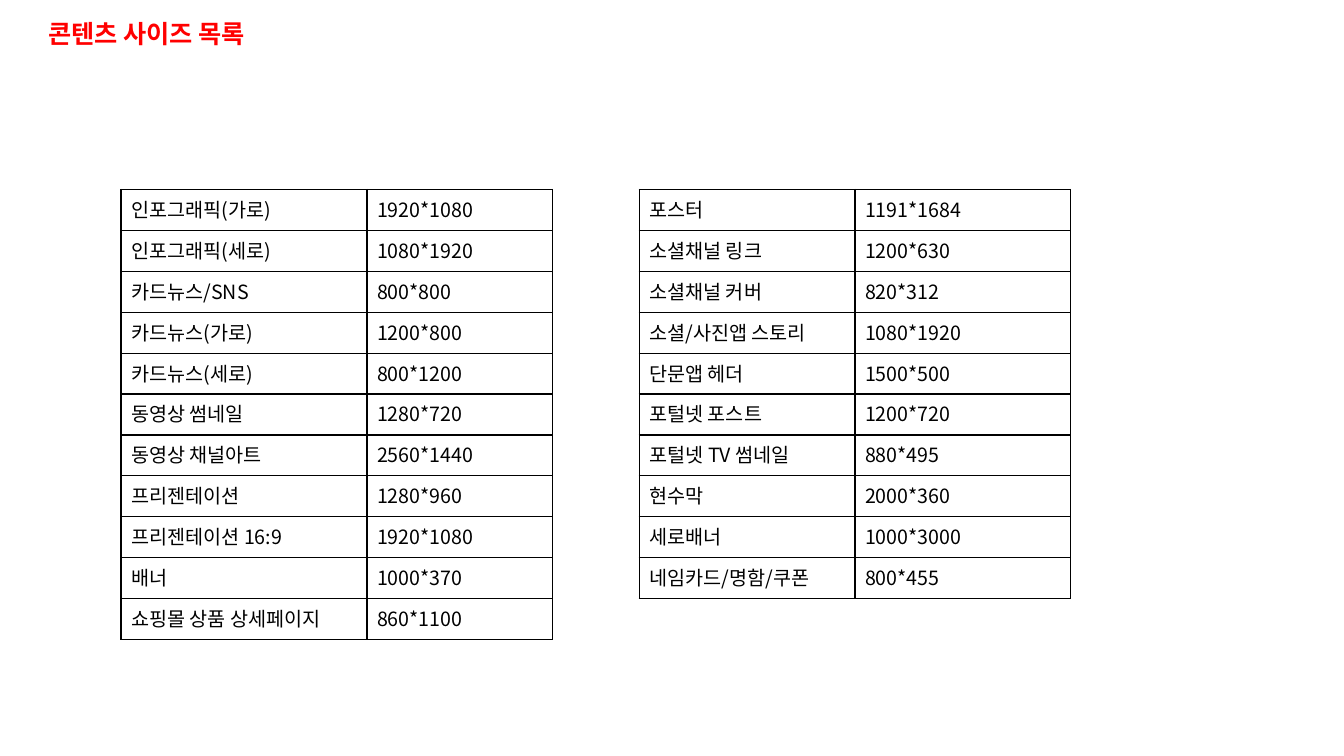
from dataclasses import dataclass

from lxml.etree import SubElement
from pptx import Presentation
from pptx.dml.color import RGBColor
from pptx.enum.text import MSO_ANCHOR
from pptx.oxml.ns import qn
from pptx.util import Inches, Pt

TITLE = "콘텐츠 사이즈 목록"
GENERAL_SIZES = [
    ("인포그래픽(가로)", "1920*1080"),
    ("인포그래픽(세로)", "1080*1920"),
    ("카드뉴스/SNS", "800*800"),
    ("카드뉴스(가로)", "1200*800"),
    ("카드뉴스(세로)", "800*1200"),
    ("동영상 썸네일", "1280*720"),
    ("동영상 채널아트", "2560*1440"),
    ("프리젠테이션", "1280*960"),
    ("프리젠테이션 16:9", "1920*1080"),
    ("배너", "1000*370"),
    ("쇼핑몰 상품 상세페이지", "860*1100"),
]
CHANNEL_SIZES = [
    ("포스터", "1191*1684"),
    ("소셜채널 링크", "1200*630"),
    ("소셜채널 커버", "820*312"),
    ("소셜/사진앱 스토리", "1080*1920"),
    ("단문앱 헤더", "1500*500"),
    ("포털넷 포스트", "1200*720"),
    ("포털넷 TV 썸네일", "880*495"),
    ("현수막", "2000*360"),
    ("세로배너", "1000*3000"),
    ("네임카드/명함/쿠폰", "800*455"),
]
# Rows, left edge and column widths in inches
TABLES = [
    (GENERAL_SIZES, 1.2, (2.44, 1.84)),
    (CHANNEL_SIZES, 6.34, (2.14, 2.14)),
]
TABLE_TOP = Inches(1.88)
ROW_HEIGHT = Inches(4.06) // 10


@dataclass(frozen=True)
class Theme:
    """Colours, font and type sizes of the slide."""
    font: str = "Noto Sans CJK KR"
    title_color: str = "FF0000"
    text_color: str = "000000"
    border_color: str = "000000"
    title_size: int = 18
    cell_size: int = 14
    border_width: int = 1


THEME = Theme()


def add_run(paragraph, text, size, color, bold=False):
    """Add one run with the theme font for Latin and Korean text."""
    run = paragraph.add_run()
    run.text = text
    run.font.size = Pt(size)
    run.font.bold = bold
    run.font.name = THEME.font
    run.font.color.rgb = RGBColor.from_string(color)
    SubElement(run.font._element, qn("a:ea"), typeface=THEME.font)


def add_borders(cell):
    """Draw a solid line on all four sides of a cell."""
    properties = cell._tc.get_or_add_tcPr()
    for position, side in enumerate(("lnL", "lnR", "lnT", "lnB")):
        line = SubElement(properties, qn(f"a:{side}"), w=str(Pt(THEME.border_width)))
        fill = SubElement(line, qn("a:solidFill"))
        SubElement(fill, qn("a:srgbClr"), val=THEME.border_color)
        properties.insert(position, line)


def add_title(slide):
    """Add the slide title."""
    shape = slide.shapes.add_textbox(Inches(0.38), Inches(0.15), Inches(12.63), Inches(0.41))
    frame = shape.text_frame
    frame.word_wrap = True
    frame.vertical_anchor = MSO_ANCHOR.MIDDLE
    paragraph = frame.paragraphs[0]
    paragraph.line_spacing = 0.9
    add_run(paragraph, TITLE, THEME.title_size, THEME.title_color, bold=True)


def add_size_table(slide, rows, left, widths):
    """Add a plain bordered table of content names and pixel sizes."""
    table = slide.shapes.add_table(
        len(rows), len(widths), Inches(left), TABLE_TOP,
        Inches(sum(widths)), ROW_HEIGHT * len(rows)).table
    table.first_row = False
    table.horz_banding = False
    for column, width in zip(table.columns, widths):
        column.width = Inches(width)
    for table_row, values in zip(table.rows, rows):
        table_row.height = ROW_HEIGHT
        for cell, value in zip(table_row.cells, values):
            cell.fill.background()
            add_borders(cell)
            add_run(cell.text_frame.paragraphs[0], value, THEME.cell_size, THEME.text_color)


def main():
    """Build and save the presentation."""
    presentation = Presentation()
    presentation.slide_width = Inches(13.33)
    presentation.slide_height = Inches(7.5)
    slide = presentation.slides.add_slide(presentation.slide_layouts[6])
    add_title(slide)
    for rows, left, widths in TABLES:
        add_size_table(slide, rows, left, widths)
    presentation.save("out.pptx")


main()
